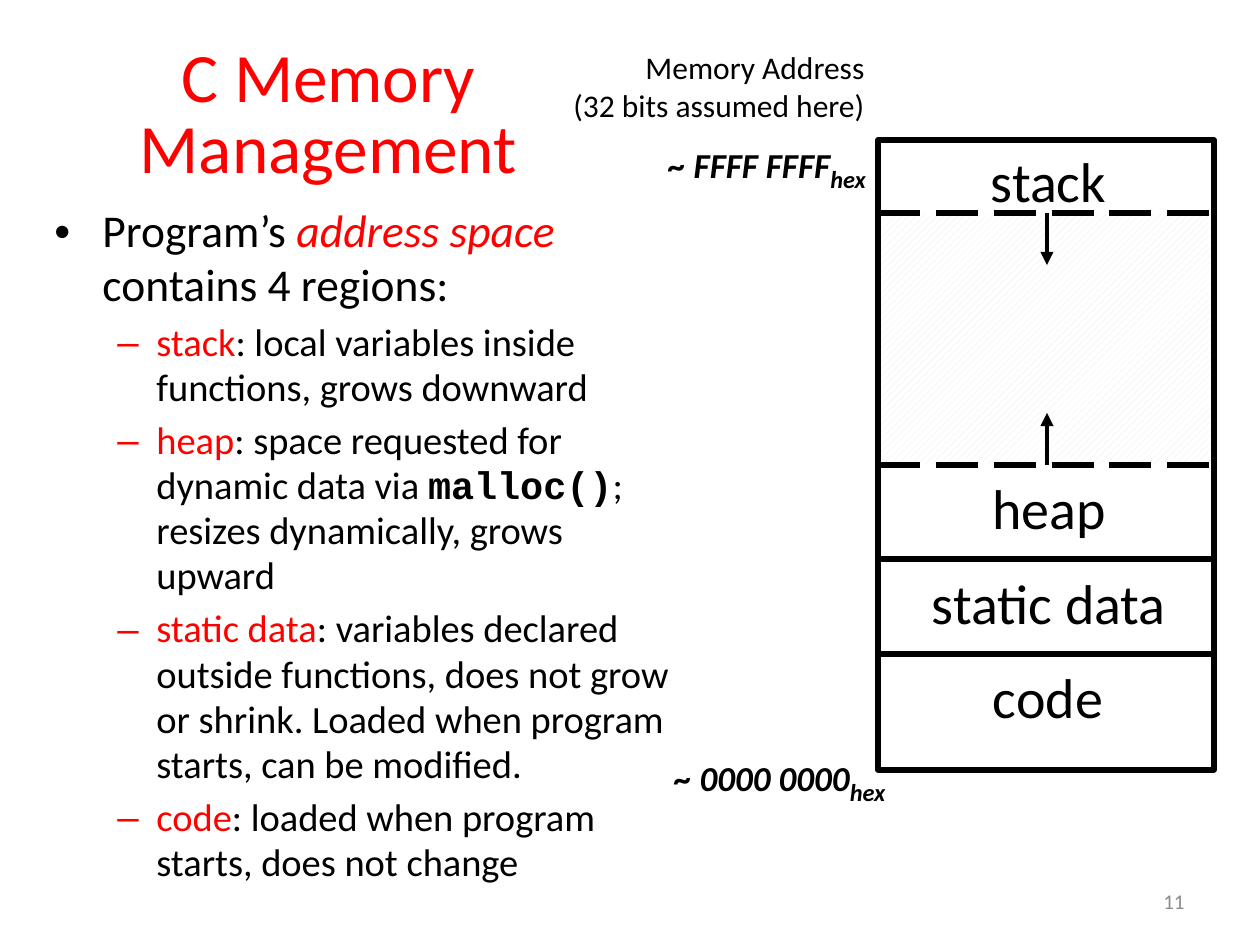
from dataclasses import dataclass, field
from typing import NamedTuple, Optional

from lxml.etree import SubElement
from pptx import Presentation
from pptx.dml.color import RGBColor
from pptx.enum.dml import MSO_LINE, MSO_PATTERN
from pptx.enum.shapes import MSO_CONNECTOR, MSO_SHAPE
from pptx.enum.text import MSO_ANCHOR as Anchor, MSO_AUTO_SIZE as AutoSize, PP_ALIGN as Align
from pptx.oxml.ns import qn
from pptx.util import Pt

PX = 914400 / 126  # EMU per pixel


def emu(px: int) -> int:
    return round(px * PX)


@dataclass(frozen=True)
class Theme:
    black: RGBColor = RGBColor(0, 0, 0)
    white: RGBColor = RGBColor(255, 255, 255)
    red: RGBColor = RGBColor(255, 0, 0)
    grey: RGBColor = RGBColor(0x8C, 0x8C, 0x8C)
    hatch: RGBColor = RGBColor(0xEE, 0xEC, 0xE1)
    font: str = "Calibri"
    code_font: str = "Courier New"
    title: float = 39.6
    body: int = 26
    sub_body: int = 22
    region: int = 32
    address: int = 20
    subscript: int = 24
    caption: int = 18
    page: int = 12


THEME = Theme()


class Box(NamedTuple):
    left: int
    top: int
    width: int
    height: int


class Run(NamedTuple):
    text: str
    color: RGBColor = THEME.black
    size: Optional[float] = None
    font: str = THEME.font
    bold: bool = False
    italic: bool = False
    baseline: int = 0


class Bullet(NamedTuple):
    char: str
    margin: int
    hanging: int


@dataclass
class Para:
    runs: list[Run]
    size: float
    bullet: Optional[Bullet] = None
    spacing: dict = field(default_factory=dict)


class Region(NamedTuple):
    name: str
    label: Box


def write(slide, box: Box, paras: list[Para], *, align=Align.LEFT,
          anchor=Anchor.TOP, wrap=True) -> None:
    frame = slide.shapes.add_textbox(*map(emu, box)).text_frame
    frame.word_wrap = wrap
    frame.auto_size = AutoSize.NONE if wrap else AutoSize.SHAPE_TO_FIT_TEXT
    frame.vertical_anchor = anchor
    for index, para in enumerate(paras):
        line = frame.add_paragraph() if index else frame.paragraphs[0]
        line.alignment = align
        for name, value in para.spacing.items():
            setattr(line, name, value)
        if para.bullet:
            props = line._p.get_or_add_pPr()
            props.set("marL", str(emu(para.bullet.margin)))
            props.set("indent", str(-emu(para.bullet.hanging)))
            SubElement(props, qn("a:buFont"), typeface="Arial")
            SubElement(props, qn("a:buChar"), char=para.bullet.char)
        for run in para.runs:
            piece = line.add_run()
            piece.text = run.text
            font = piece.font
            font.name, font.size = run.font, Pt(run.size or para.size)
            font.bold, font.italic = run.bold, run.italic
            font.color.rgb = run.color
            if run.baseline:
                font._element.set("baseline", str(run.baseline * 1000))


def block(slide, box: Box, *, line: RGBColor, weight: float, hatched=False) -> None:
    shape = slide.shapes.add_shape(MSO_SHAPE.RECTANGLE, *map(emu, box))
    shape.shadow.inherit = False
    if hatched:
        shape.fill.patterned()
        shape.fill.pattern = MSO_PATTERN.WIDE_UPWARD_DIAGONAL
        shape.fill.fore_color.rgb = THEME.hatch
        shape.fill.back_color.rgb = THEME.white
    else:
        shape.fill.background()
    shape.line.color.rgb, shape.line.width = line, Pt(weight)


def rule(slide, start: tuple[int, int], end: tuple[int, int], *,
         weight: float, dashed=False, arrow=False) -> None:
    link = slide.shapes.add_connector(MSO_CONNECTOR.STRAIGHT, *map(emu, start + end))
    link.line.color.rgb, link.line.width = THEME.black, Pt(weight)
    if dashed:
        link.line.dash_style = MSO_LINE.LONG_DASH
    if arrow:
        SubElement(link.line._get_or_add_ln(), qn("a:tailEnd"), type="triangle")
    SubElement(link._element.spPr, qn("a:effectLst"))


# Memory map edges
LEFT, WIDTH = 878, 336
MIDDLE = LEFT + WIDTH // 2 + 1
STACK, FREE, HEAP, STATIC, CODE, END = 140, 213, 465, 559, 654, 770
ARROW, LABEL_HEIGHT = 52, 81

REGIONS = [
    Region("code", Box(980, CODE + 2, 136, LABEL_HEIGHT)),
    Region("static data", Box(918, STATIC + 3, 262, LABEL_HEIGHT)),
    Region("heap", Box(979, HEAP + 2, 140, LABEL_HEIGHT)),
    Region("stack", Box(978, STACK, 141, LABEL_HEIGHT)),
]

ADDRESSES = [
    ("~ FFFF FFFF", Box(656, 130, 238, 55)),
    ("~ 0000 0000", Box(662, 743, 252, 55)),
]

DEFINITIONS = [
    ("stack", [Run(": local variables inside functions, grows downward")]),
    ("heap", [Run(": space requested for dynamic data via "),
              Run("malloc()", font=THEME.code_font, bold=True),
              Run("; resizes dynamically, grows upward")]),
    ("static data", [Run(": variables declared outside functions, does not grow or "
                         "shrink. Loaded when program starts, can be modified.")]),
    ("code", [Run(": loaded when program starts, does not change")]),
]


def body_para(runs: list[Run], size: int, bullet: Bullet) -> Para:
    return Para(runs, size, bullet,
                {"space_before": Pt(size * 0.2), "line_spacing": 0.98})


def main() -> None:
    deck = Presentation()
    deck.slide_width, deck.slide_height = emu(1260), emu(945)
    slide = deck.slides.add_slide(deck.slide_layouts[6])

    # Free space between stack and heap
    block(slide, Box(LEFT, FREE, WIDTH, HEAP - FREE), line=THEME.white, weight=1, hatched=True)

    # Title and explanation
    write(slide, Box(3, 38, 651, 157),
          [Para([Run("C Memory Management", THEME.red)], THEME.title,
                spacing={"line_spacing": 0.85})],
          align=Align.CENTER, anchor=Anchor.MIDDLE)
    intro = [Run("Program’s "), Run("address space ", THEME.red, italic=True),
             Run("contains 4 regions:")]
    dash = Bullet("–", 102, 39)
    write(slide, Box(42, 199, 651, 658),
          [body_para(intro, THEME.body, Bullet("•", 48, 48))]
          + [body_para([Run(term, THEME.red), *meaning], THEME.sub_body, dash)
             for term, meaning in DEFINITIONS])

    # Memory map outlines and moving boundaries
    for top, bottom, weight in ((STACK, END, 3), (CODE, END, 1), (STATIC, CODE, 3)):
        block(slide, Box(LEFT, top, WIDTH, bottom - top), line=THEME.black, weight=weight)
    for edge in (HEAP, FREE):
        rule(slide, (LEFT, edge), (LEFT + WIDTH, edge), weight=3, dashed=True)

    # Region names and growth arrows
    for region in REGIONS:
        write(slide, region.label, [Para([Run(region.name)], THEME.region)],
              align=Align.CENTER, wrap=False)
    for edge, growth in ((HEAP, -ARROW), (FREE, ARROW)):
        rule(slide, (MIDDLE, edge), (MIDDLE, edge + growth), weight=2.5, arrow=True)

    # Addresses, page number and address heading
    for address, box in ADDRESSES:
        write(slide, box,
              [Para([Run(address, bold=True, italic=True),
                     Run("hex", size=THEME.subscript, bold=True, italic=True, baseline=-25)],
                    THEME.address)], wrap=False)
    write(slide, Box(903, 876, 294, 50), [Para([Run("11", THEME.grey)], THEME.page)],
          align=Align.RIGHT, anchor=Anchor.MIDDLE)
    write(slide, Box(557, 42, 320, 89),
          [Para([Run(text)], THEME.caption)
           for text in ("Memory Address", "(32 bits assumed here)")],
          align=Align.RIGHT, wrap=False)

    deck.save("out.pptx")


if __name__ == "__main__":
    main()
